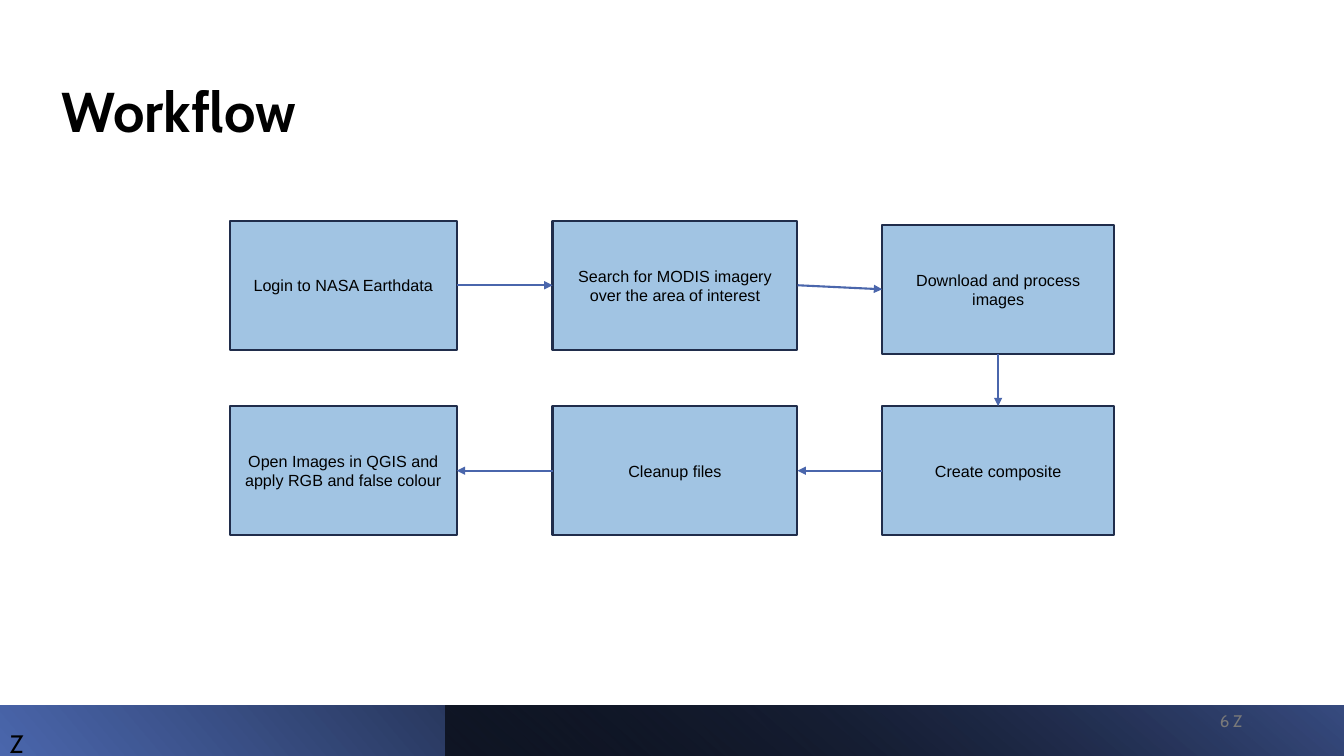
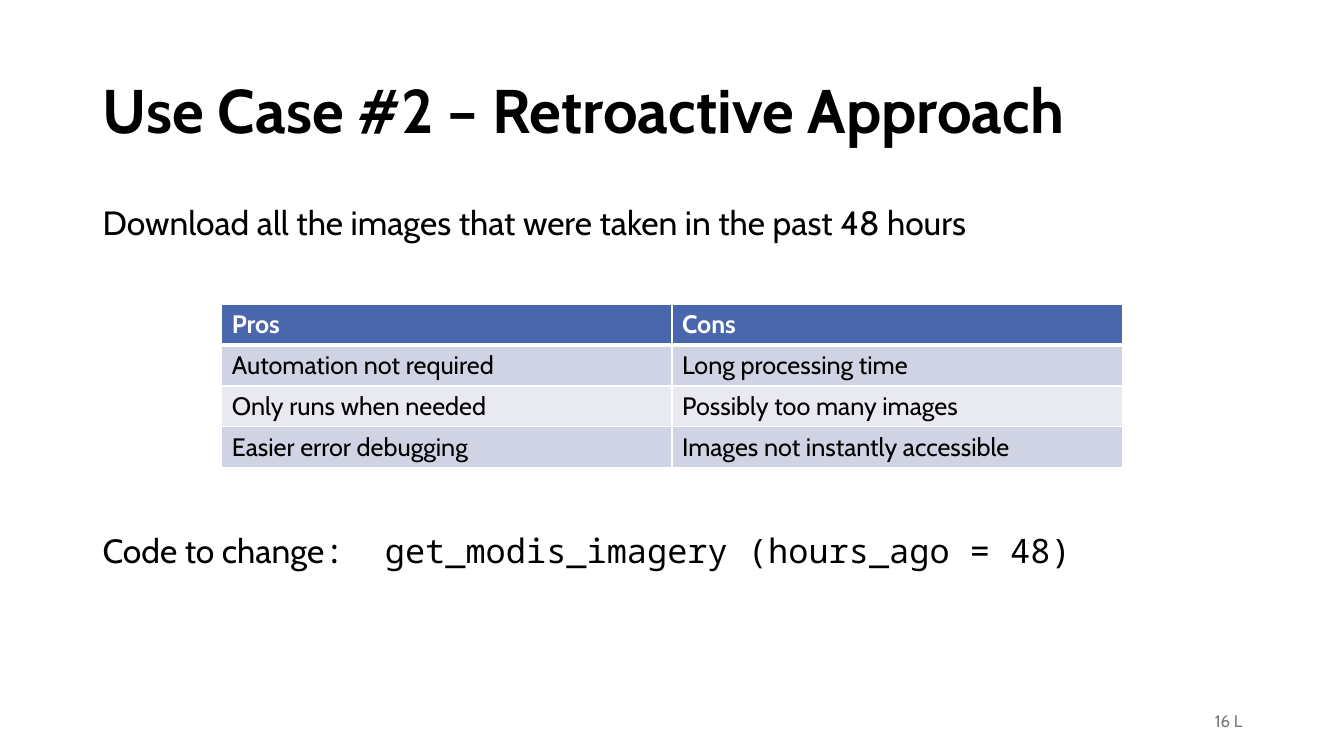
import dataclasses
import typing

import pptx
import pptx.dml.color
import pptx.enum.dml
import pptx.enum.shapes
import pptx.enum.text
import pptx.oxml
import pptx.oxml.ns
import pptx.util

RGB = pptx.dml.color.RGBColor
Pt = pptx.util.Pt
ALIGN = pptx.enum.text.PP_ALIGN
ANCHOR = pptx.enum.text.MSO_ANCHOR
RECT = pptx.enum.shapes.MSO_SHAPE.RECTANGLE

# Colours and fonts
BLACK = RGB(0x00, 0x00, 0x00)
WHITE = RGB(0xFF, 0xFF, 0xFF)
BLUE = RGB(0x4A, 0x66, 0xAC)
DEEP = RGB(0x38, 0x4C, 0x81)
NAVY = RGB(0x20, 0x2D, 0x4B)
SKY = RGB(0xA1, 0xC4, 0xE3)
GREY = RGB(0x79, 0x79, 0x79)
BANDS = (RGB(0xD0, 0xD3, 0xE3), RGB(0xE9, 0xEA, 0xF1))
SANS, MONO, PLAIN = "Cabin", "Noto Sans Mono", "Arial"

# Slide size
WIDTH, HEIGHT = pptx.util.Inches(13.33), pptx.util.Inches(7.5)


@dataclasses.dataclass(frozen=True)
class Box:
    """A frame in percent of the slide's width and height."""
    x: float
    y: float
    w: float
    h: float

    def frame(self) -> tuple[int, int, int, int]:
        return (int(WIDTH * self.x / 100), int(HEIGHT * self.y / 100),
                int(WIDTH * self.w / 100), int(HEIGHT * self.h / 100))


@dataclasses.dataclass(frozen=True)
class Step:
    """One box of the flow: its grid column, row, text and drop."""
    col: int
    row: int
    text: str
    drop: float = 0


@dataclasses.dataclass(frozen=True)
class Band:
    """A gradient bar with its two stops."""
    box: Box
    stops: tuple[tuple[float, RGB], ...]
    angle: int
    alpha: int = 100


# Flow grid: left and width of each column, top of each row
COLS = ((17.1, 16.88), (41.11, 18.23), (65.64, 17.25))
ROWS = (29.2, 53.73)
TALL = 17.07
STEPS = (
    Step(0, 0, "Login to NASA Earthdata"),
    Step(1, 0, "Search for MODIS imagery over the area of interest"),
    Step(2, 0, "Download and process images", 0.53),
    Step(2, 1, "Create composite"),
    Step(1, 1, "Cleanup files"),
    Step(0, 1, "Open Images in QGIS and apply RGB and false colour"),
)
# Rectangle sites: 0 top, 1 left, 2 bottom, 3 right
LINKS = ((3, 1), (3, 1), (2, 0), (1, 3), (1, 3))

FOOT = (
    Band(Box(0, 93.33, 100, 6.67), ((0, BLUE), (0.78, BLACK)), 40),
    Band(Box(33.16, 93.33, 66.84, 6.67), ((0, BLACK), (1, DEEP)), 50, 63),
)
TABLE = (
    ("Pros", "Cons"),
    ("Automation not required", "Long processing time"),
    ("Only runs when needed", "Possibly too many images"),
    ("Easier error debugging", "Images not instantly accessible"),
)


def apply(item: typing.Any, **values: typing.Any) -> None:
    for key, value in values.items():
        setattr(item, key, value)


def write(para: typing.Any, text: str, size: float, color: RGB = BLACK,
          face: str = SANS, bold: bool = False) -> None:
    run = para.add_run()
    run.text = text
    apply(run.font, name=face, size=Pt(size), bold=bold)
    run.font.color.rgb = color


def node(tag: str, **attrs: str) -> typing.Any:
    item = pptx.oxml.parse_xml(f"<a:{tag} {pptx.oxml.ns.nsdecls('a')}/>")
    for key, value in attrs.items():
        item.set(key, value)
    return item


# Shared parts
def add_text(slide: typing.Any, box: Box, anchor: ANCHOR = ANCHOR.TOP) -> typing.Any:
    frame = slide.shapes.add_textbox(*box.frame()).text_frame
    apply(frame, word_wrap=True, vertical_anchor=anchor)
    return frame


def add_title(slide: typing.Any, text: str, box: Box, size: float,
              anchor: ANCHOR) -> None:
    title = slide.shapes.title
    apply(title, **dict(zip(("left", "top", "width", "height"), box.frame())))
    apply(title.text_frame, word_wrap=True, vertical_anchor=anchor,
          auto_size=pptx.enum.text.MSO_AUTO_SIZE.NONE)
    para = title.text_frame.paragraphs[0]
    apply(para, alignment=ALIGN.LEFT, line_spacing=0.9)
    write(para, text, size, bold=True)


def add_page(slide: typing.Any, text: str) -> None:
    frame = add_text(slide, Box(70.67, 92.67, 22.51, 5.33), ANCHOR.MIDDLE)
    para = frame.paragraphs[0]
    para.alignment = ALIGN.RIGHT
    write(para, text, 12, GREY)


def add_rect(slide: typing.Any, box: Box) -> typing.Any:
    rect = slide.shapes.add_shape(RECT, *box.frame())
    rect.shadow.inherit = False
    return rect


# Flow parts
def add_band(slide: typing.Any, band: Band) -> None:
    rect = add_rect(slide, band.box)
    rect.line.fill.background()
    rect.fill.gradient()
    rect.fill.gradient_angle = band.angle
    for stop, (share, color) in zip(rect.fill.gradient_stops, band.stops):
        stop.position = share
        stop.color.rgb = color
    if band.alpha < 100:
        first = next(rect.fill._xPr.iter(pptx.oxml.ns.qn("a:srgbClr")))
        first.append(node("alpha", val=str(band.alpha * 1000)))


def add_step(slide: typing.Any, step: Step) -> typing.Any:
    left, wide = COLS[step.col]
    rect = add_rect(slide, Box(left, ROWS[step.row] + step.drop, wide, TALL))
    rect.fill.solid()
    rect.fill.fore_color.rgb = SKY
    rect.line.color.rgb = NAVY
    rect.line.width = Pt(1.5)
    apply(rect.text_frame, word_wrap=True, vertical_anchor=ANCHOR.MIDDLE)
    para = rect.text_frame.paragraphs[0]
    apply(para, alignment=ALIGN.CENTER, space_after=Pt(6))
    write(para, step.text, 11.5, face=PLAIN)
    return rect


def add_link(slide: typing.Any, start: typing.Any, end: typing.Any,
             sites: tuple[int, int]) -> None:
    link = slide.shapes.add_connector(
        pptx.enum.shapes.MSO_CONNECTOR.STRAIGHT, 0, 0, 0, 0)
    link.begin_connect(start, sites[0])
    link.end_connect(end, sites[1])
    link.line.color.rgb = BLUE
    link.line.width = Pt(1.5)
    link.line._get_or_add_ln().append(node("tailEnd", type="triangle"))
    link._element.spPr.append(node("effectLst"))


# Table parts
def add_edge(cell: typing.Any, side: str, width: float) -> None:
    edge = node(f"ln{side}", w=str(Pt(width)))
    fill = node("solidFill")
    fill.append(node("srgbClr", val=str(WHITE)))
    edge.append(fill)
    cell._tc.get_or_add_tcPr().append(edge)


def add_table(slide: typing.Any, rows: tuple[tuple[str, ...], ...], box: Box) -> None:
    table = slide.shapes.add_table(len(rows), len(rows[0]), *box.frame()).table
    apply(table, first_row=False, horz_banding=False)
    for r, row in enumerate(rows):
        head = r == 0
        edges = {"L": 1, "R": 1, "T": 3 if r == 1 else 1, "B": 3 if head else 1}
        for c, text in enumerate(row):
            cell = table.cell(r, c)
            for side, width in edges.items():
                add_edge(cell, side, width)
            cell.fill.solid()
            cell.fill.fore_color.rgb = BLUE if head else BANDS[(r - 1) % 2]
            write(cell.text_frame.paragraphs[0], text, 18,
                  WHITE if head else BLACK, bold=head)


# Slides
def draw_flow(slide: typing.Any) -> None:
    add_title(slide, "Workflow", Box(3.83, 2.67, 40.66, 17.07), 40, ANCHOR.BOTTOM)
    for band in FOOT:
        add_band(slide, band)
    rects = [add_step(slide, step) for step in STEPS]
    for start, end, sites in zip(rects, rects[1:], LINKS):
        add_link(slide, start, end, sites)
    mark = add_text(slide, Box(0, 95.73, 5.18, 4.27))
    write(mark.paragraphs[0], "Z", 18)
    add_page(slide, "6 Z")


def draw_case(slide: typing.Any) -> None:
    add_title(slide, "Use Case #2 – Retroactive Approach",
              Box(6.9, 5.33, 86.27, 19.33), 44, ANCHOR.MIDDLE)
    body = add_text(slide, Box(6.9, 26.67, 86.27, 63.47))
    lead, code = body.paragraphs[0], body.add_paragraph()
    write(lead, "Download all the images that were taken in the past 48 hours", 24)
    tabs = node("tabLst")
    tabs.append(node("tab", pos=str(int(WIDTH * 0.21)), algn="l"))
    code._p.get_or_add_pPr().append(tabs)
    write(code, "Code to change", 24)
    write(code, ":\tget_modis_imagery (hours_ago = 48)", 24, face=MONO)
    lead.line_spacing = 0.9
    apply(code, line_spacing=0.9, space_before=Pt(208))
    add_table(slide, TABLE, Box(16.5, 40.27, 67, 21.6))
    add_page(slide, "16 L")


def main() -> None:
    deck = pptx.Presentation()
    apply(deck, slide_width=WIDTH, slide_height=HEIGHT)
    for draw in (draw_flow, draw_case):
        draw(deck.slides.add_slide(deck.slide_layouts[5]))
    deck.save("out.pptx")


if __name__ == "__main__":
    main()
